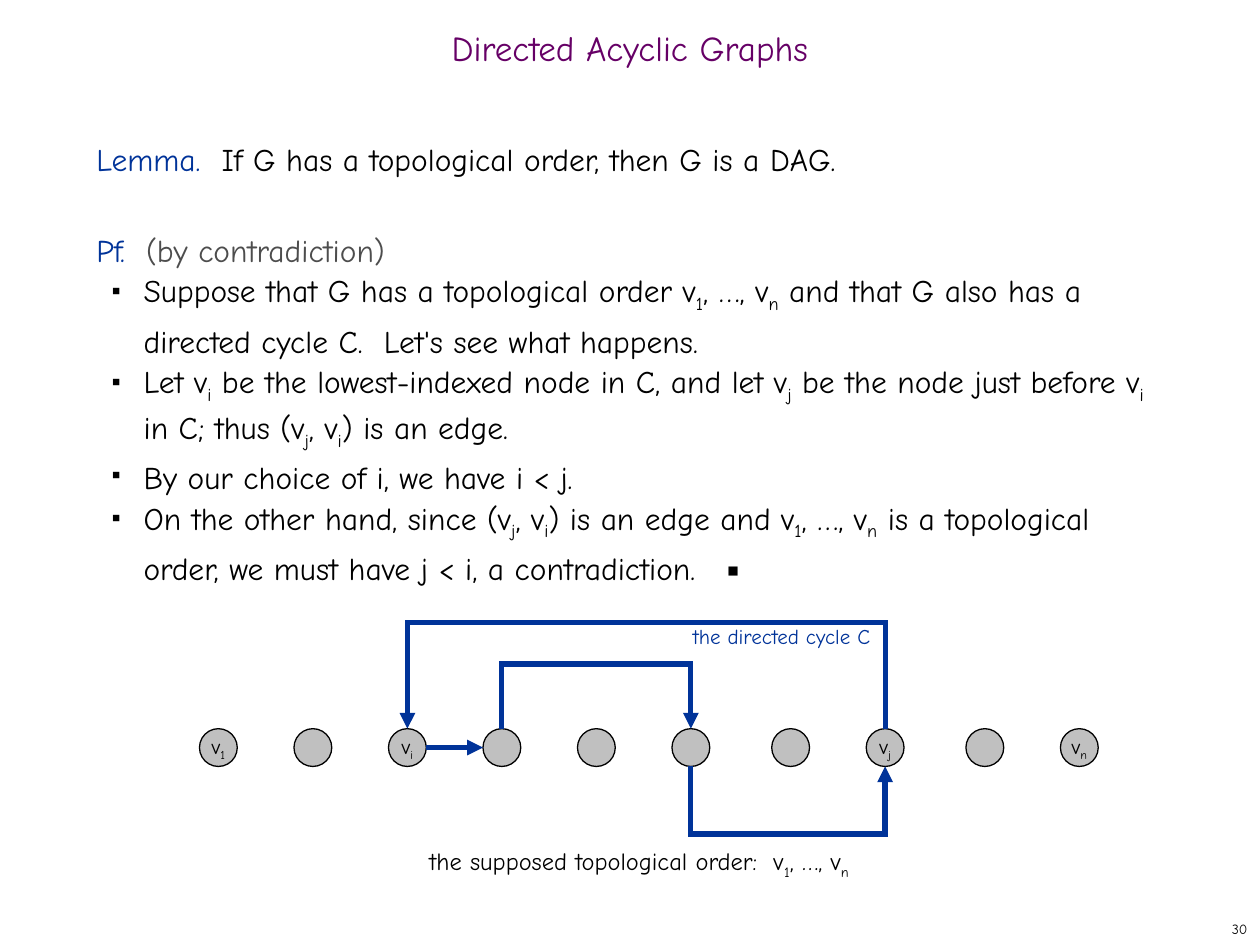
from dataclasses import dataclass

import pptx
import pptx.dml.color
import pptx.enum.shapes
import pptx.enum.text
import pptx.oxml.ns
import pptx.oxml.xmlchemy
import pptx.util
from lxml import etree

Pt = pptx.util.Pt
qn = pptx.oxml.ns.qn
Align = pptx.enum.text.PP_ALIGN
Anchor = pptx.enum.text.MSO_ANCHOR

FONT = "Comic Neue"
COLORS = {
    "title": "660066",
    "accent": "003399",
    "text": "000000",
    "muted": "4D4D4D",
    "node": "C0C0C0",
}
DIAMETER = 21.6
RADIUS = DIAMETER / 2
NODE_TOP = 416.4
NODE_MIDDLE = NODE_TOP + RADIUS
NODE_BOTTOM = NODE_TOP + DIAMETER
PITCH = 54
FIRST_LEFT = 114
EXTRA_GAP = 3


@dataclass(frozen=True)
class Span:
    text: str
    color: str = "text"


@dataclass(frozen=True)
class Line:
    spans: tuple[Span, ...]
    bullet: bool = False
    space_before: float = 0


@dataclass(frozen=True)
class Label:
    left: float
    top: float
    width: float
    height: float
    text: str
    size: float
    color: str = "text"
    align: Align = Align.LEFT
    anchor: Anchor = Anchor.TOP
    wrap: bool = False
    spacing: float = 1.0


@dataclass(frozen=True)
class Route:
    start: int
    end: int
    edge: float
    level: float


PROOF = (
    Line((Span("Lemma.  ", "accent"), Span("If G has a topological order, then G is a DAG."))),
    Line((Span("Pf.  ", "accent"), Span("(by contradiction)", "muted")), space_before=26),
    Line((Span("Suppose that G has a topological order v_1_, …, v_n_ and that G also has a "
               "directed cycle C.  Let's see what happens."),), True),
    Line((Span("Let v_i_ be the lowest-indexed node in C, and let v_j_ be the node just before "
               "v_i _in C; thus (v_j_, v_i_) is an edge."),), True),
    Line((Span("By our choice of i, we have i < j."),), True),
    Line((Span("On the other hand, since (v_j_, v_i_) is an edge and v_1_, …, v_n_ is a "
               "topological order, we must have j < i, a contradiction.   ▪"),), True),
)
LABELS = (
    Label(570, 522, 150, 18, "30", 8, align=Align.RIGHT, anchor=Anchor.MIDDLE),
    Label(0, 12, 720, 36, "Directed Acyclic Graphs", 20, "title", Align.CENTER,
          Anchor.MIDDLE, True, 0.7),
    Label(238.3, 480.2, 254.9, 26.6, "the supposed topological order:  v_1_, …, v_n_", 14),
    Label(388.8, 352.8, 116.6, 21.6, "the directed cycle C", 12, "accent"),
)
NODE_NAMES = ("v_1_", "", "v_i_", "", "", "", "", "v_j_", "", "v_n_")
ROUTES = (
    Route(7, 2, NODE_TOP, 355.7),
    Route(3, 5, NODE_TOP, 379.4),
    Route(5, 7, NODE_BOTTOM, 476.6),
)


def rgb(name: str) -> pptx.dml.color.RGBColor:
    return pptx.dml.color.RGBColor.from_string(COLORS[name])


def node_left(index: int) -> float:
    return FIRST_LEFT + PITCH * index + EXTRA_GAP * ((index > 5) + (index > 7))


def node_center(index: int) -> float:
    return node_left(index) + RADIUS


def write_span(paragraph, span: Span, size: float) -> None:
    for position, piece in enumerate(span.text.split("_")):
        if not piece:
            continue
        run = paragraph.add_run()
        run.text = piece
        run.font.name = FONT
        run.font.size = Pt(size)
        run.font.color.rgb = rgb(span.color)
        if position % 2:
            run.font._element.set("baseline", "-25000")


def add_bullet(paragraph) -> None:
    properties = paragraph._p.get_or_add_pPr()
    properties.set("marL", str(Pt(27)))
    properties.set("indent", str(Pt(-18)))
    bullet_color = etree.SubElement(properties, qn("a:buClr"))
    etree.SubElement(bullet_color, qn("a:srgbClr"), val=COLORS["text"])
    etree.SubElement(properties, qn("a:buSzPct"), val="35000")
    etree.SubElement(properties, qn("a:buChar"), char="■")


def add_label(slide, label: Label) -> None:
    box = slide.shapes.add_textbox(Pt(label.left), Pt(label.top), Pt(label.width), Pt(label.height))
    frame = box.text_frame
    frame.word_wrap = label.wrap
    frame.vertical_anchor = label.anchor
    paragraph = frame.paragraphs[0]
    paragraph.alignment = label.align
    paragraph.line_spacing = label.spacing
    write_span(paragraph, Span(label.text, label.color), label.size)


def add_proof(slide) -> None:
    frame = slide.shapes.add_textbox(Pt(48), Pt(72), Pt(618), Pt(426)).text_frame
    frame.word_wrap = True
    for index, line in enumerate(PROOF):
        paragraph = frame.add_paragraph() if index else frame.paragraphs[0]
        paragraph.line_spacing = Pt(26)
        paragraph.space_before = Pt(line.space_before)
        for span in line.spans:
            write_span(paragraph, span, 18)
        if line.bullet:
            add_bullet(paragraph)


def add_node(slide, index: int, name: str) -> None:
    node = slide.shapes.add_shape(
        pptx.enum.shapes.MSO_SHAPE.OVAL,
        Pt(node_left(index)), Pt(NODE_TOP), Pt(DIAMETER), Pt(DIAMETER),
    )
    node.shadow.inherit = False
    node.fill.solid()
    node.fill.fore_color.rgb = rgb("node")
    node.line.color.rgb = rgb("text")
    node.line.width = Pt(0.75)
    if name:
        node.text_frame.word_wrap = False
        node.text_frame.vertical_anchor = Anchor.MIDDLE
        paragraph = node.text_frame.paragraphs[0]
        paragraph.alignment = Align.CENTER
        write_span(paragraph, Span(name), 12)


def style_arrow(arrow) -> None:
    arrow.line.color.rgb = rgb("accent")
    arrow.line.width = Pt(3)
    outline = arrow._element.spPr.find(qn("a:ln"))
    etree.SubElement(outline, qn("a:miter"), lim="800000")
    etree.SubElement(outline, qn("a:tailEnd"), type="triangle")


def add_route(slide, route: Route) -> None:
    start, end = Pt(node_center(route.start)), Pt(node_center(route.end))
    edge, level = Pt(route.edge), Pt(route.level)
    builder = slide.shapes.build_freeform(start, edge)
    builder.add_line_segments([(start, level), (end, level), (end, edge)], close=False)
    arrow = builder.convert_to_shape()
    arrow.shadow.inherit = False
    arrow.fill.background()
    style_arrow(arrow)


def add_edge(slide, start: int, end: int) -> None:
    edge = slide.shapes.add_connector(
        pptx.enum.shapes.MSO_CONNECTOR.STRAIGHT,
        Pt(node_left(start) + DIAMETER), Pt(NODE_MIDDLE), Pt(node_left(end)), Pt(NODE_MIDDLE),
    )
    style_arrow(edge)
    etree.SubElement(edge._element.spPr, qn("a:effectLst"))


def main() -> None:
    deck = pptx.Presentation()
    deck.slide_width, deck.slide_height = Pt(720), Pt(540)
    slide = deck.slides.add_slide(deck.slide_layouts[6])
    add_proof(slide)
    for index, name in enumerate(NODE_NAMES):
        add_node(slide, index, name)
    add_edge(slide, 2, 3)
    for route in ROUTES:
        add_route(slide, route)
    for label in LABELS:
        add_label(slide, label)
    deck.save("out.pptx")


if __name__ == "__main__":
    main()
